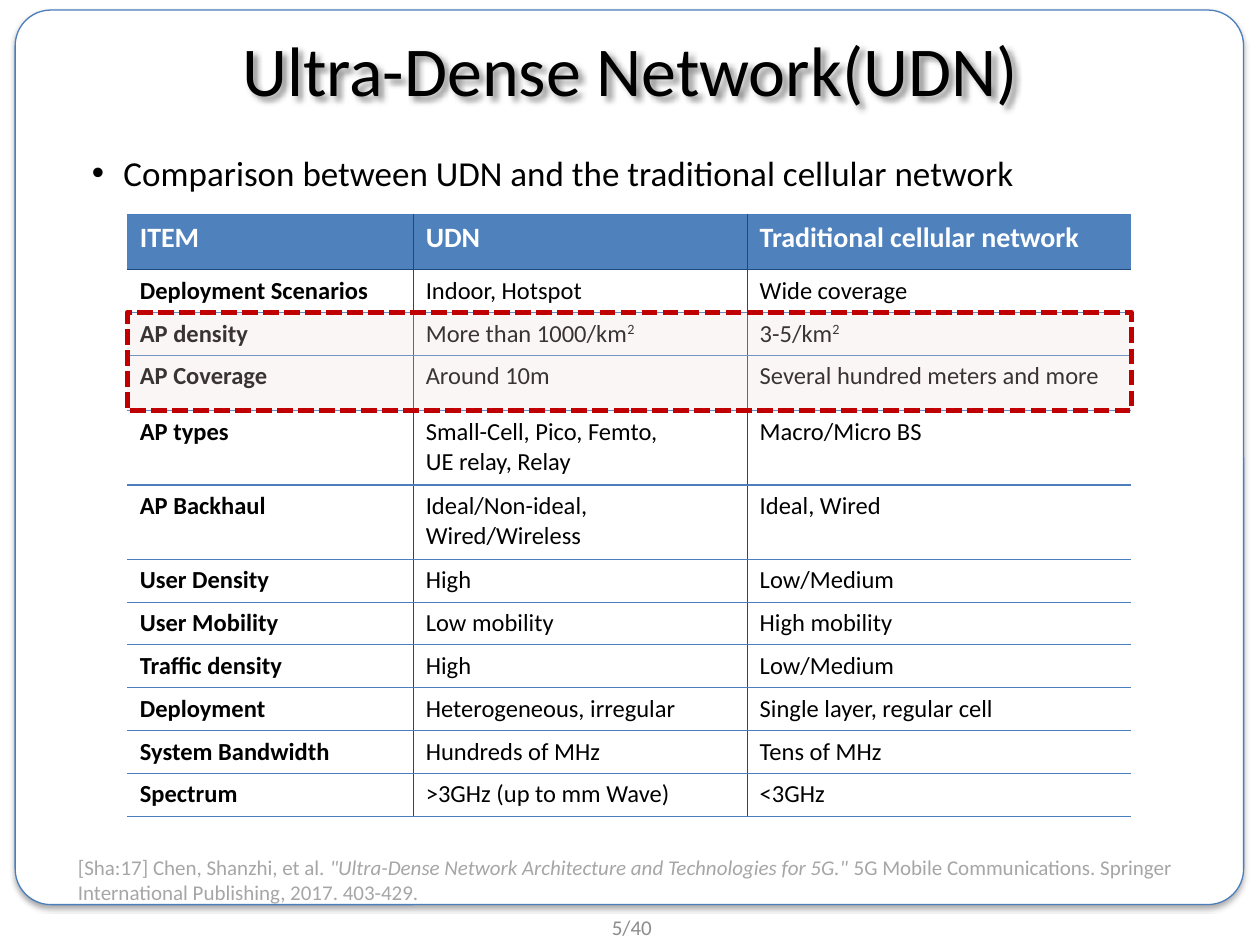
from dataclasses import dataclass

from lxml import etree
from pptx import Presentation
from pptx.dml.color import RGBColor
from pptx.enum.dml import MSO_LINE
from pptx.enum.lang import MSO_LANGUAGE_ID
from pptx.enum.shapes import MSO_SHAPE
from pptx.enum.text import MSO_ANCHOR, MSO_AUTO_SIZE, PP_ALIGN
from pptx.oxml import parse_xml
from pptx.oxml.ns import nsdecls, qn
from pptx.util import Inches, Pt

CENTER, LEFT = PP_ALIGN.CENTER, PP_ALIGN.LEFT
TOP, MIDDLE = MSO_ANCHOR.TOP, MSO_ANCHOR.MIDDLE
NO_FIT = MSO_AUTO_SIZE.NONE
DASH = MSO_LINE.SQUARE_DOT
ENGLISH = MSO_LANGUAGE_ID.ENGLISH_US
RECTANGLE, ROUNDED = MSO_SHAPE.RECTANGLE, MSO_SHAPE.ROUNDED_RECTANGLE


@dataclass(frozen=True)
class Theme:
    font: str = "Calibri"
    title_size: int = 40
    lead_size: int = 20
    header_size: int = 16
    cell_size: int = 14
    small_size: int = 12
    black: str = "000000"
    white: str = "FFFFFF"
    header: str = "4F81BD"
    rule: str = "4B7EBC"
    dark_rule: str = "1F497D"
    alert: str = "C00000"
    tint: str = "F2DCDB"
    citation: str = "A6A6A6"
    number: str = "8C8C8C"


THEME = Theme()

COLUMNS = [2.27, 2.65, 3.05]
ROWS = [  # height, item, UDN, traditional; "^" starts a superscript
    (0.44, "ITEM", "UDN", "Traditional cellular network"),
    (0.34, "Deployment Scenarios", "Indoor, Hotspot", "Wide coverage"),
    (0.34, "AP density", "More than 1000/km^2", "3-5/km^2"),
    (0.44, "AP Coverage", "Around 10m", "Several hundred meters and more"),
    (0.59, "AP types", "Small-Cell, Pico, Femto,\vUE relay, Relay", "Macro/Micro BS"),
    (0.59, "AP Backhaul", "Ideal/Non-ideal, Wired/Wireless", "Ideal, Wired"),
    (0.34, "User Density", "High", "Low/Medium"),
    (0.34, "User Mobility", "Low mobility", "High mobility"),
    (0.34, "Traffic density", "High", "Low/Medium"),
    (0.34, "Deployment", "Heterogeneous, irregular", "Single layer, regular cell"),
    (0.34, "System Bandwidth", "Hundreds of MHz", "Tens of MHz"),
    (0.34, "Spectrum", ">3GHz (up to mm Wave)", "<3GHz"),
]
HIGHLIGHT_ROWS = (2, 3)


def style(span, size, color, bold=False, italic=False):
    span.font.name = THEME.font
    span.font.language_id = ENGLISH
    span.font.size = Pt(size)
    span.font.bold = bold
    span.font.italic = italic
    span.font.color.rgb = RGBColor.from_string(color)


def place(shape, box):
    shape.left, shape.top, shape.width, shape.height = map(Inches, box)


def add_shadow(shape, blur, distance, angle, opacity):
    """Give an outer shadow; blur and distance in points, angle in degrees."""
    shape.shadow.inherit = False
    effects = shape._element.spPr.find(qn("a:effectLst"))
    effects.append(parse_xml(
        f'<a:outerShdw {nsdecls("a")} blurRad="{Pt(blur)}" dist="{Pt(distance)}" '
        f'dir="{angle * 60000}" rotWithShape="0"><a:srgbClr val="{THEME.black}">'
        f'<a:alpha val="{opacity * 1000}"/></a:srgbClr></a:outerShdw>'))


def add_panel(page, kind, box, fill, line, width):
    panel = page.shapes.add_shape(kind, *map(Inches, box))
    panel.shadow.inherit = False
    panel.fill.solid()
    panel.fill.fore_color.rgb = RGBColor.from_string(fill)
    panel.line.color.rgb = RGBColor.from_string(line)
    panel.line.width = Pt(width)
    return panel


def add_text(page, box, spans, align=LEFT, anchor=TOP):
    """Add one paragraph from (text, style options) pairs."""
    frame = page.shapes.add_textbox(*map(Inches, box)).text_frame
    frame.word_wrap = True
    frame.vertical_anchor = anchor
    para = frame.paragraphs[0]
    para.alignment = align
    for text, options in spans:
        span = para.add_run()
        span.text = text
        style(span, **options)


def add_frame(page, box):
    frame = add_panel(page, ROUNDED, box, THEME.white, THEME.rule, 0.75)
    frame.adjustments[0] = 0.04
    add_shadow(frame, 3.1, 1.8, 90, 35)
    page.shapes._spTree.insert(2, frame._element)  # behind the placeholders


def fill_title(page, box):
    title = page.shapes.title
    place(title, box)
    title.fill.background()
    add_shadow(title, 3, 3, 45, 43)
    title.text_frame.text = "Ultra-Dense Network(UDN)"
    title.text_frame.vertical_anchor = MIDDLE
    para = title.text_frame.paragraphs[0]
    para.alignment = CENTER
    style(para.runs[0], THEME.title_size, THEME.black)


def fill_lead(page, box):
    body = page.placeholders[1]
    place(body, box)
    body.text_frame.text = "Comparison between UDN and the traditional cellular network"
    body.text_frame.auto_size = NO_FIT
    para = body.text_frame.paragraphs[0]
    para.space_before = Pt(0)
    properties = para._p.get_or_add_pPr()
    properties.set("marL", str(Inches(0.38)))
    properties.set("indent", str(Inches(-0.25)))
    etree.SubElement(properties, qn("a:buFont"), typeface="Arial")
    etree.SubElement(properties, qn("a:buChar"), char="•")
    style(para.runs[0], THEME.lead_size, THEME.black)


def set_borders(cell, **colors):
    """Set the L, R, T and B borders; None leaves a side open."""
    properties = cell._tc.get_or_add_tcPr()
    for index, side in enumerate("LRTB"):
        color = colors[side]
        paint = (f'<a:solidFill><a:srgbClr val="{color}"/></a:solidFill>'
                 if color else "<a:noFill/>")
        properties.insert(index, parse_xml(
            f'<a:ln{side} {nsdecls("a")} w="{Pt(0.75)}">{paint}</a:ln{side}>'))


def fill_cell(cell, text, row, column):
    is_header = row == 0
    if is_header:
        cell.fill.solid()
        cell.fill.fore_color.rgb = RGBColor.from_string(THEME.header)
    else:
        cell.fill.background()
    set_borders(cell,
                L=THEME.dark_rule if column > 0 else None,
                R=THEME.dark_rule if column < len(COLUMNS) - 1 else None,
                T=THEME.dark_rule if row == 1 else THEME.rule,
                B=THEME.dark_rule if is_header else THEME.rule)
    base, _, power = text.partition("^")
    para = cell.text_frame.paragraphs[0]
    para.text = base
    if power:
        raised = para.add_run()
        raised.text = power
        raised.font._element.set("baseline", "30000")
    for span in para.runs:
        style(span, THEME.header_size if is_header else THEME.cell_size,
              THEME.white if is_header else THEME.black,
              bold=is_header or column == 0)


def add_comparison(page, left, top):
    heights = [row[0] for row in ROWS]
    width = sum(COLUMNS)
    box = (left, top, width, sum(heights))
    table = page.shapes.add_table(len(ROWS), len(COLUMNS), *map(Inches, box)).table
    table.horz_banding = False
    for column, column_width in enumerate(COLUMNS):
        table.columns[column].width = Inches(column_width)
    for row, (height, *texts) in enumerate(ROWS):
        table.rows[row].height = Inches(height)
        for column, text in enumerate(texts):
            fill_cell(table.cell(row, column), text, row, column)

    first, last = HIGHLIGHT_ROWS
    mark = add_panel(page, RECTANGLE,
                     (left, top + sum(heights[:first]), width, sum(heights[first:last + 1])),
                     THEME.tint, THEME.alert, 3)
    mark.line.dash_style = DASH
    color = mark._element.spPr.find(qn("a:solidFill"))[0]
    etree.SubElement(color, qn("a:alpha"), val="24000")


def add_citation(page, box):
    plain = {"size": THEME.small_size, "color": THEME.citation}
    add_text(page, box, [
        ("[Sha:17] Chen, Shanzhi, et al.", plain),
        (' "Ultra-Dense Network Architecture and Technologies for 5G." ',
         {**plain, "italic": True}),
        ("5G Mobile Communications. Springer International Publishing, 2017. 403-429.", plain),
    ])


def add_page_number(page, box):
    add_text(page, box,
             [("5/40", {"size": THEME.small_size, "color": THEME.number})], CENTER, MIDDLE)


def main():
    deck = Presentation()
    deck.slide_width, deck.slide_height = Inches(10), Inches(7.5)
    page = deck.slides.add_slide(deck.slide_layouts[1])
    add_frame(page, (0.12, 0.08, 9.75, 7.1))
    fill_title(page, (0.13, 0, 9.74, 1.08))
    fill_lead(page, (0.5, 1.15, 9, 0.54))
    add_comparison(page, 1.01, 1.7)
    add_citation(page, (0.52, 6.73, 9.24, 0.5))
    add_page_number(page, (3.85, 7.21, 2.33, 0.29))
    deck.save("out.pptx")


if __name__ == "__main__":
    main()
